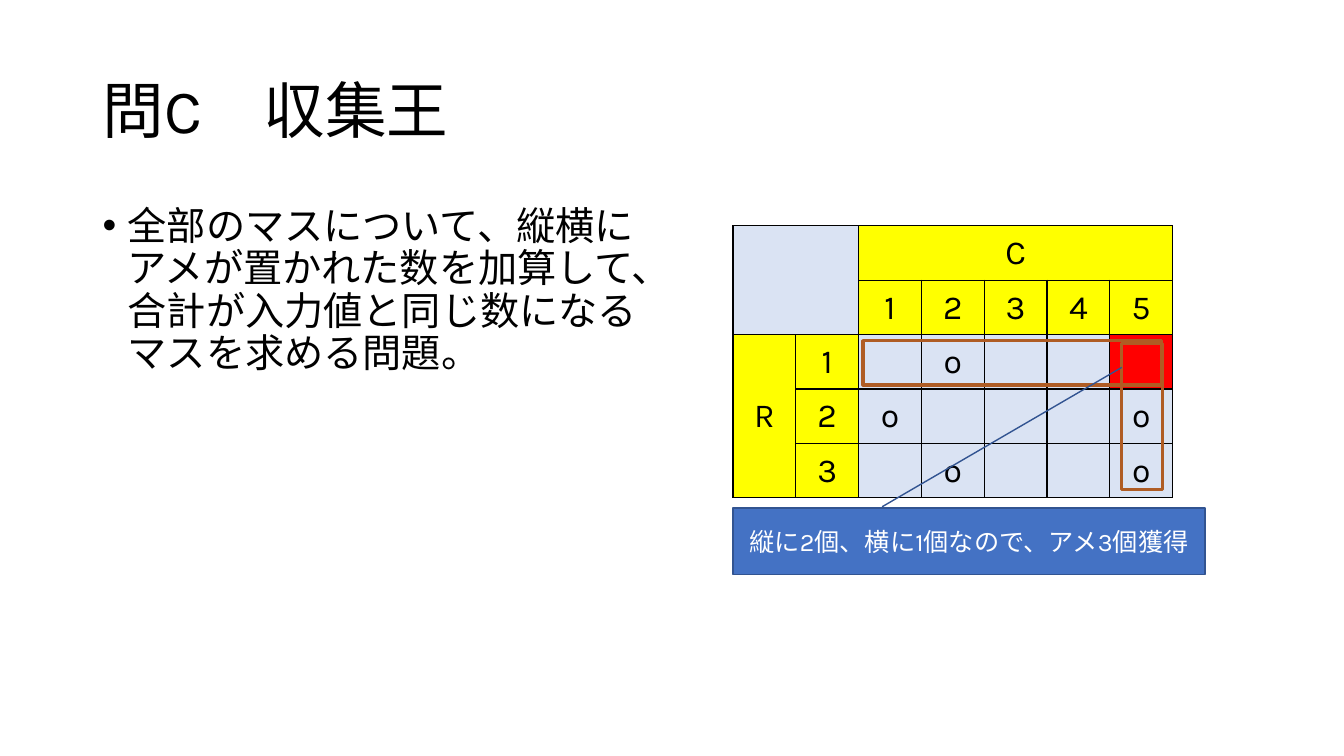
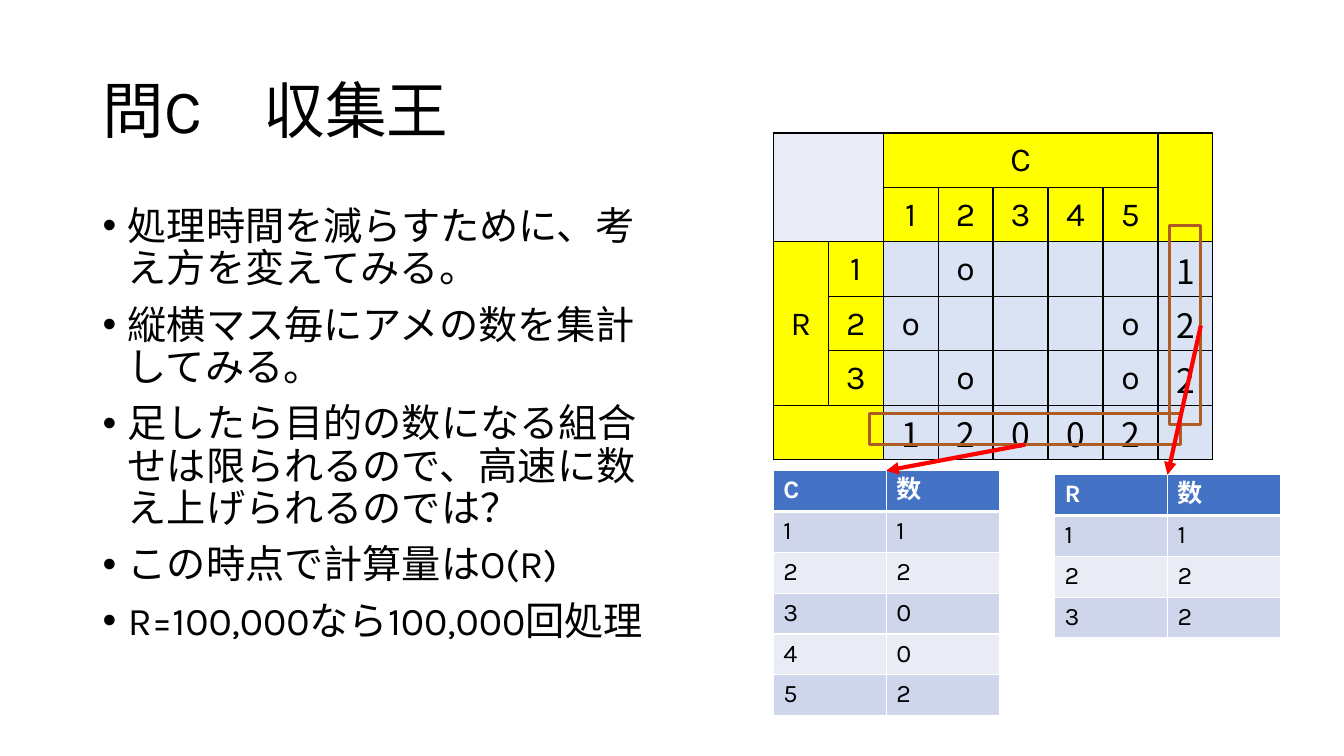
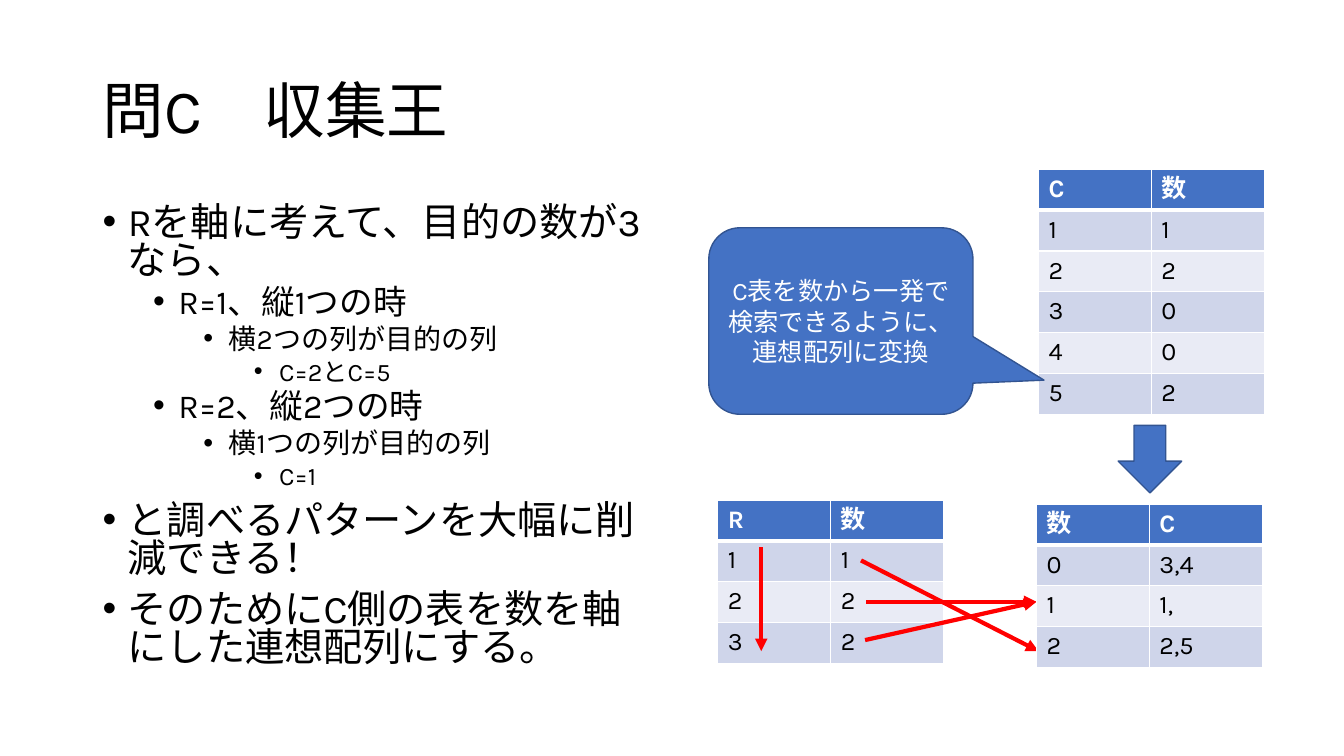
from dataclasses import dataclass

from lxml.etree import SubElement
from pptx import Presentation
from pptx.dml.color import RGBColor
from pptx.enum.shapes import MSO_CONNECTOR, MSO_SHAPE
from pptx.enum.text import MSO_ANCHOR, PP_ALIGN
from pptx.oxml.ns import qn
from pptx.util import Inches, Pt

# Shared look
COLORS = {
    "black": "000000", "white": "FFFFFF", "yellow": "FFFF00", "red": "FF0000",
    "blue": "4472C4", "edge": "325491", "brown": "AF5C24",
    "cell": "DAE3F3", "band": "CFD5EA", "pale": "E9EBF5",
}
FONT = "Karla"
TOTAL_FONT = "Noto Sans CJK JP"
TITLE = "問C　収集王"
LEVEL_SIZES = (28, 24, 20, 18)
ROW_H = 0.54
HEADS = 2  # header rows and columns of a candy grid


@dataclass
class Bullet:
    text: str
    level: int = 0


@dataclass
class Grid:
    x: float
    y: float
    rows: tuple[str, ...]  # one character per cell, "." for an empty one
    merges: tuple[tuple[int, int, int, int], ...]
    corner: str = "cell"
    goal: tuple[int, int] | None = None
    width: float = 4.36


@dataclass
class CountTable:
    x: float
    y: float
    rows: tuple[tuple[str, str], ...]


@dataclass
class Arrow:
    x1: float
    y1: float
    x2: float
    y2: float


@dataclass
class Box:
    kind: MSO_SHAPE
    x: float
    y: float
    w: float
    h: float
    fill: str | None = "blue"
    line: str = "edge"
    weight: float = 1
    adjust: tuple[float, ...] = ()
    lines: tuple[str, ...] = ()


def rgb(name: str) -> RGBColor:
    return RGBColor.from_string(COLORS[name])


def write(p, text: str, *, size: float = 18, color: str = "black", bold: bool = False,
          font: str = FONT, align: PP_ALIGN | None = None) -> None:
    p.alignment = align
    r = p.add_run()
    r.text = text
    r.font.size, r.font.bold, r.font.name = Pt(size), bold, font
    r.font.color.rgb = rgb(color)
    SubElement(r.font._element, qn("a:ea"), typeface=font)


# Title and bullets
def add_text_box(s, x: float, y: float, w: float, h: float, anchor: MSO_ANCHOR):
    tf = s.shapes.add_textbox(Inches(x), Inches(y), Inches(w), Inches(h)).text_frame
    tf.word_wrap = True
    tf.vertical_anchor = anchor
    return tf


def add_slide(prs, bullets: list[Bullet], spacing: float = 0.9):
    s = prs.slides.add_slide(prs.slide_layouts[6])
    p = add_text_box(s, 0.92, 0.4, 11.5, 1.45, MSO_ANCHOR.MIDDLE).paragraphs[0]
    p.line_spacing = 0.9
    write(p, TITLE, size=44)

    tf = add_text_box(s, 0.92, 2, 5.67, 4.76, MSO_ANCHOR.TOP)
    for i, bullet in enumerate(bullets):
        p = tf.add_paragraph() if i else tf.paragraphs[0]
        p.level = bullet.level
        p.line_spacing = spacing
        p.space_before = Pt(5 if bullet.level else 10)
        pPr = p._p.get_or_add_pPr()
        pPr.set("marL", str(Inches(0.25 + 0.5 * bullet.level)))
        pPr.set("indent", str(Inches(-0.25)))
        SubElement(pPr, qn("a:buFont"), typeface="Arial")
        SubElement(pPr, qn("a:buChar"), char="•")
        write(p, bullet.text, size=LEVEL_SIZES[bullet.level])
    return s


# Tables
def style_cell(cell, fill: str, border: str, bottom: float = 1) -> None:
    tcPr = cell._tc.get_or_add_tcPr()
    for side, weight in (("L", 1), ("R", 1), ("T", 1), ("B", bottom)):
        ln = SubElement(tcPr, qn(f"a:ln{side}"), w=str(Pt(weight)))
        SubElement(SubElement(ln, qn("a:solidFill")), qn("a:srgbClr"), val=COLORS[border])
    cell.fill.solid()
    cell.fill.fore_color.rgb = rgb(fill)


def add_table(s, x: float, y: float, w: float, row_h: float, n_rows: int, n_cols: int):
    table = s.shapes.add_table(n_rows, n_cols, Inches(x), Inches(y),
                               Inches(w), Inches(row_h * n_rows)).table
    for col in table.columns:
        col.width = Inches(w / n_cols)
    for row in table.rows:
        row.height = Inches(row_h)
    return table


def add_grid(s, grid: Grid) -> None:
    table = add_table(s, grid.x, grid.y, grid.width, ROW_H, len(grid.rows), len(grid.rows[0]))
    for i, row in enumerate(grid.rows):
        for j, text in enumerate(row):
            cell = table.cell(i, j)
            if i < HEADS and j < HEADS:
                fill = grid.corner
            elif (i, j) == grid.goal:
                fill = "red"
            else:
                fill = "yellow" if i < HEADS or j < HEADS else "cell"
            style_cell(cell, fill, "black")
            if text == ".":
                continue
            cell.vertical_anchor = MSO_ANCHOR.MIDDLE
            cell.margin_left = cell.margin_right = cell.margin_top = Inches(0.01)
            cell.margin_bottom = 0
            is_total = i >= HEADS + 3 or j >= HEADS + 5
            write(cell.text_frame.paragraphs[0], text, size=24,
                  font=TOTAL_FONT if is_total else FONT, align=PP_ALIGN.CENTER)
    for top, left, bottom, right in grid.merges:
        table.cell(top, left).merge(table.cell(bottom, right))


def add_count_table(s, counts: CountTable) -> None:
    table = add_table(s, counts.x, counts.y, 2.24, 0.405, len(counts.rows), 2)
    for i, row in enumerate(counts.rows):
        head = i == 0
        fill = "blue" if head else ("pale", "band")[i % 2]
        for j, text in enumerate(row):
            cell = table.cell(i, j)
            style_cell(cell, fill, "white", bottom=3 if head else 1)
            write(cell.text_frame.paragraphs[0], text,
                  color="white" if head else "black", bold=head)


# Arrows and shapes
def add_arrow(s, arrow: Arrow) -> None:
    c = s.shapes.add_connector(MSO_CONNECTOR.STRAIGHT, Inches(arrow.x1), Inches(arrow.y1),
                               Inches(arrow.x2), Inches(arrow.y2))
    c.line.color.rgb = rgb("red")
    c.line.width = Pt(3)
    SubElement(c.line._get_or_add_ln(), qn("a:tailEnd"), type="triangle")
    SubElement(c._element.spPr, qn("a:effectLst"))


def add_box(s, box: Box) -> None:
    sp = s.shapes.add_shape(box.kind, Inches(box.x), Inches(box.y), Inches(box.w), Inches(box.h))
    sp.shadow.inherit = False
    for i, value in enumerate(box.adjust):
        sp.adjustments[i] = value
    if box.fill:
        sp.fill.solid()
        sp.fill.fore_color.rgb = rgb(box.fill)
    else:
        sp.fill.background()
    sp.line.color.rgb = rgb(box.line)
    sp.line.width = Pt(box.weight)
    tf = sp.text_frame
    tf.word_wrap = True
    tf.vertical_anchor = MSO_ANCHOR.MIDDLE
    for i, line in enumerate(box.lines):
        p = tf.add_paragraph() if i else tf.paragraphs[0]
        write(p, line, color="white", align=PP_ALIGN.CENTER)


def frame(x: float, y: float, w: float, h: float) -> Box:
    return Box(MSO_SHAPE.RECTANGLE, x, y, w, h, fill=None, line="brown", weight=2.25)


DRAW = {Grid: add_grid, CountTable: add_count_table, Arrow: add_arrow, Box: add_box}


def draw(s, *items: Grid | CountTable | Arrow | Box) -> None:
    for item in items:
        DRAW[type(item)](s, item)


# Data used on more than one slide
GRID_ROWS = ("..C....", "..12345", "R1.o...", ".2o...o", ".3.o..o")
GRID_MERGES = ((0, 0, 1, 1), (0, 2, 0, 6), (2, 0, 4, 0))
ROW_COUNTS = (("R", "数"), ("1", "1"), ("2", "2"), ("3", "2"))
COL_COUNTS = (("C", "数"), ("1", "1"), ("2", "2"), ("3", "0"), ("4", "0"), ("5", "2"))
COLS_BY_COUNT = (("数", "C"), ("0", "3,4"), ("1", "1,"), ("2", "2,5"))

prs = Presentation()
prs.slide_width, prs.slide_height = Inches(13.33), Inches(7.5)

# Slide 1: the problem
s = add_slide(prs, [
    Bullet("全部のマスについて、縦横にアメが置かれた数を加算して、合計が入力値と同じ数になるマスを求める問題。"),
])
draw(
    s,
    Grid(7.27, 2.24, GRID_ROWS, GRID_MERGES, goal=(2, 6)),
    frame(11.12, 3.41, 0.41, 1.45),
    frame(8.56, 3.38, 2.96, 0.44),
    Box(MSO_SHAPE.LINE_CALLOUT_1, 7.27, 5.04, 4.68, 0.66,
        adjust=(-0.019, 0.316, -2.115, 0.824),
        lines=("縦に2個、横に1個なので、アメ3個獲得",)),
)

# Slide 2: totals per row and column
s = add_slide(prs, [
    Bullet("処理時間を減らすために、考え方を変えてみる。"),
    Bullet("縦横マス毎にアメの数を集計してみる。"),
    Bullet("足したら目的の数になる組合せは限られるので、高速に数え上げられるのでは？"),
    Bullet("この時点で計算量はO(R)"),
    Bullet("R=100,000なら100,000回処理"),
])
total_rows = tuple(row + total for row, total in zip(GRID_ROWS, "..122")) + ("..12002.",)
draw(
    s,
    Grid(7.67, 1.32, total_rows, GRID_MERGES + ((0, 7, 1, 7), (5, 0, 5, 1)), corner="pale"),
    CountTable(10.46, 4.71, ROW_COUNTS),
    CountTable(7.67, 4.67, COL_COUNTS),
    frame(8.62, 4.1, 3.09, 0.31),
    frame(11.6, 2.24, 0.31, 1.97),
    Arrow(11.91, 3.23, 11.58, 4.71),
    Arrow(10.17, 4.41, 8.79, 4.67),
)

# Slide 3: lookup by count
s = add_slide(prs, [
    Bullet("Rを軸に考えて、目的の数が3なら、"),
    Bullet("R=1、縦1つの時", 1),
    Bullet("横2つの列が目的の列", 2),
    Bullet("C=2とC=5", 3),
    Bullet("R=2、縦2つの時", 1),
    Bullet("横1つの列が目的の列", 2),
    Bullet("C=1", 3),
    Bullet("と調べるパターンを大幅に削減できる！"),
    Bullet("そのためにC側の表を数を軸にした連想配列にする。"),
], spacing=0.8)
draw(
    s,
    CountTable(7.12, 4.96, ROW_COUNTS),
    CountTable(10.3, 1.68, COL_COUNTS),
    Arrow(8.58, 6.35, 10.28, 5.97),
    Arrow(7.55, 5.43, 7.55, 6.46),
    Arrow(8.54, 5.56, 10.3, 6.46),
    Arrow(8.59, 5.97, 10.28, 5.97),
    CountTable(10.28, 5, COLS_BY_COUNT),
    Box(MSO_SHAPE.DOWN_ARROW, 11.09, 4.22, 0.63, 0.67),
    Box(MSO_SHAPE.ROUNDED_RECTANGULAR_CALLOUT, 7.03, 2.26, 2.62, 1.85,
        adjust=(0.769, 0.317, 0.167),
        lines=("C表を数から一発で検索できるように、", "連想配列に変換")),
)

prs.save("out.pptx")
